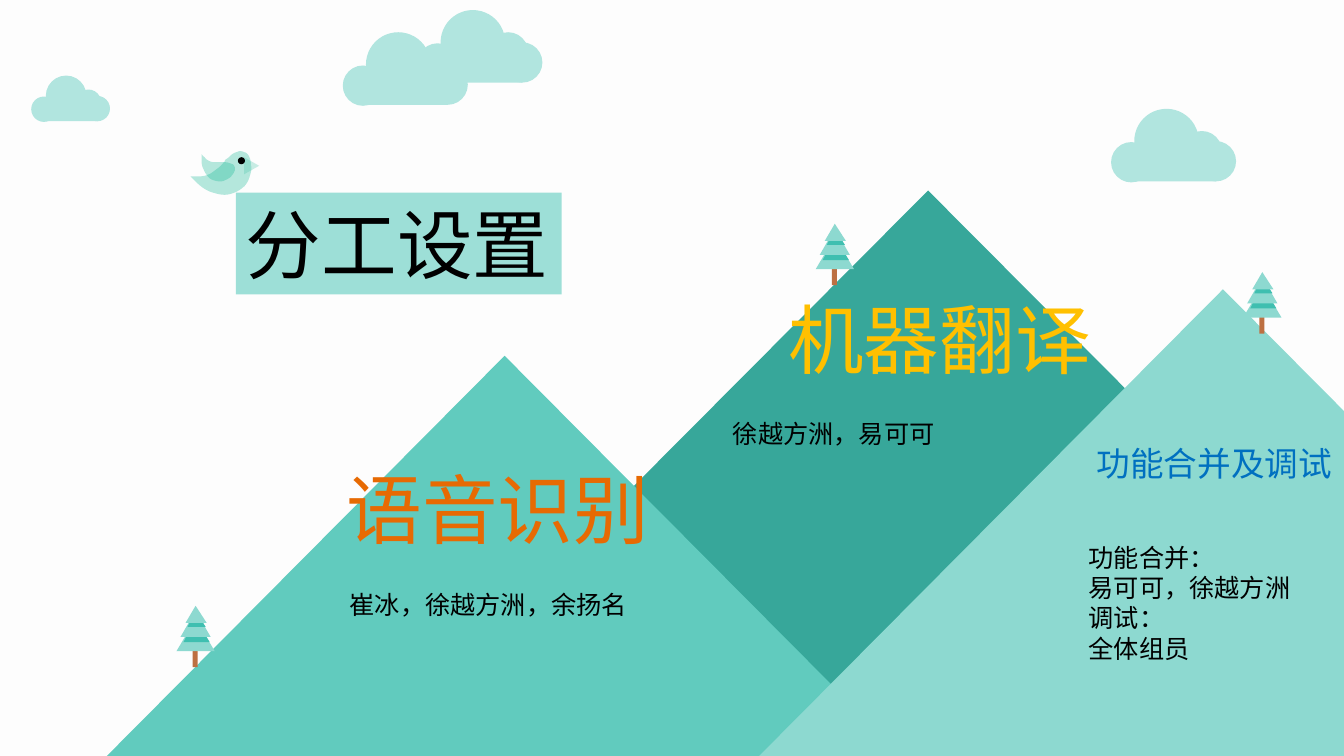
"""Build the slide that shares out the project work over three mountains."""
from lxml.etree import SubElement
from pptx import Presentation
from pptx.dml.color import RGBColor
from pptx.enum.lang import MSO_LANGUAGE_ID
from pptx.enum.shapes import MSO_SHAPE
from pptx.enum.text import MSO_AUTO_SIZE, PP_ALIGN
from pptx.oxml.ns import qn
from pptx.util import Inches, Pt

PAPER = RGBColor(0xFD, 0xFD, 0xFD)
DEEP = RGBColor(0x37, 0xA7, 0x9A)
TEAL = RGBColor(0x61, 0xCB, 0xBE)
PALE = RGBColor(0x8D, 0xD9, 0xD0)
CLOUD = RGBColor(0xB1, 0xE5, 0xDF)
PANEL = RGBColor(0x9D, 0xDF, 0xD7)
SHADE = RGBColor(0x3F, 0xBF, 0xB0)
TRUNK = RGBColor(0xBD, 0x70, 0x42)
BIRD = RGBColor(0x0C, 0xB6, 0x92)
BEAK = RGBColor(0x4F, 0xC7, 0xAD)
BLACK = RGBColor(0, 0, 0)
GOLD = RGBColor(0xFF, 0xC0, 0x00)
BLUE = RGBColor(0x00, 0x70, 0xC0)
ORANGE = RGBColor(0xE7, 0x6A, 0x03)

OVAL, RECT, PEAK = MSO_SHAPE.OVAL, MSO_SHAPE.RECTANGLE, MSO_SHAPE.ISOSCELES_TRIANGLE
LATIN, HAN = "Calibri", "Noto Sans CJK SC"

HILLS = [
    ((3.87, 1.89, 10.67, 5.36), DEEP),
    ((1.06, 3.53, 7.89, 3.97), TEAL),
    ((7.53, 2.87, 9.2, 4.63), PALE),
]
CLOUDS = [(11.02, 1.08, 1), (3.4, 0.32, 1), (0.31, 0.75, 0.63), (4.14, 0.1, 1)]
PUFFS = [
    (OVAL, 0, 0.33, 0.4, 0.4),
    (OVAL, 0.7, 0.22, 0.4, 0.4),
    (OVAL, 0.23, 0, 0.64, 0.64),
    (OVAL, 0.84, 0.32, 0.4, 0.4),
    (RECT, 0.23, 0.34, 0.81, 0.38),
]
TITLE = ("分工设置", (2.34, 1.91, 3.23, 1.01))
TEXTS = [
    (["徐越方洲，易可可"], (7.17, 4.1, 3.12, 0.4), 18, BLACK, True),
    (["崔冰，徐越方洲，余扬名"], (3.37, 5.8, 3.12, 0.4), 18, BLACK, True),
    (["功能合并：", "易可可，徐越方洲", "调试：", "全体组员"],
     (10.7, 5.33, 3.12, 1.31), 18, BLACK, True),
    (["机器翻译"], (7.72, 2.86, 3.23, 1.01), 54, GOLD, False),
    (["功能合并及调试"], (10.78, 4.34, 2.56, 0.5), 24, BLUE, False),
    (["语音识别"], (3.34, 4.54, 3.36, 1.01), 54, ORANGE, True),
]
BODY = [
    (1.89, 1.75), (1.9, 1.76), (1.92, 1.78), (1.95, 1.81),
    (1.98, 1.84), (2.03, 1.88), (2.08, 1.9), (2.14, 1.92), (2.2, 1.94), (2.26, 1.93),
    (2.32, 1.92), (2.38, 1.89), (2.42, 1.85), (2.42, 1.85), (2.43, 1.85), (2.43, 1.84),
    (2.45, 1.82), (2.47, 1.78), (2.48, 1.74), (2.49, 1.71), (2.5, 1.67), (2.49, 1.64),
    (2.49, 1.6), (2.48, 1.57), (2.47, 1.55), (2.46, 1.53), (2.44, 1.51), (2.42, 1.51),
    (2.41, 1.5), (2.39, 1.5), (2.37, 1.5), (2.35, 1.51), (2.34, 1.51), (2.32, 1.52),
    (2.3, 1.53), (2.29, 1.54), (2.27, 1.56), (2.26, 1.57), (2.24, 1.58), (2.23, 1.59),
    (2.23, 1.6), (2.23, 1.6), (2.23, 1.6), (2.21, 1.62), (2.19, 1.65), (2.16, 1.67),
    (2.13, 1.69), (2.1, 1.72), (2.07, 1.73), (2.03, 1.75), (1.99, 1.75), (1.96, 1.75),
    (1.93, 1.75), (1.9, 1.75), (1.89, 1.75),
]
WING = [
    (2, 1.53), (2, 1.54), (2, 1.56), (2, 1.59), (2, 1.61), (2, 1.65), (2.02, 1.68),
    (2.03, 1.71), (2.05, 1.74), (2.08, 1.77), (2.11, 1.79), (2.15, 1.8), (2.18, 1.8),
    (2.18, 1.8), (2.19, 1.8), (2.19, 1.8), (2.21, 1.8), (2.23, 1.79), (2.25, 1.78),
    (2.27, 1.77), (2.29, 1.76), (2.3, 1.74), (2.32, 1.72), (2.32, 1.71), (2.33, 1.69),
    (2.33, 1.68), (2.33, 1.67), (2.33, 1.66), (2.32, 1.64), (2.32, 1.64), (2.31, 1.63),
    (2.3, 1.63), (2.29, 1.62), (2.28, 1.62), (2.27, 1.62), (2.26, 1.61), (2.24, 1.61),
    (2.23, 1.61), (2.22, 1.61), (2.21, 1.61), (2.21, 1.61), (2.21, 1.61), (2.21, 1.61),
    (2.19, 1.61), (2.17, 1.61), (2.15, 1.61), (2.13, 1.61), (2.1, 1.61), (2.08, 1.6),
    (2.06, 1.59), (2.04, 1.58), (2.03, 1.56), (2.01, 1.55), (2.01, 1.54), (2, 1.53),
]
TREES = [(1.94, 6.01), (12.52, 2.7), (8.28, 2.22)]
LEAVES = [
    (-0.19, 0.19, 0.13, 0.45, PALE),
    (-0.12, 0.14, 0.13, 0.36, SHADE),
    (-0.15, 0.15, 0.05, 0.31, PALE),
    (-0.08, 0.1, 0.05, 0.21, SHADE),
    (-0.1, 0.11, 0, 0.17, PALE),
]


def paint(shape, color, alpha=None):
    shape.shadow.inherit = False
    shape.fill.solid()
    shape.fill.fore_color.rgb = color
    shape.line.fill.background()
    if alpha:
        tint = shape.fill._xPr.find(".//" + qn("a:srgbClr"))
        SubElement(tint, qn("a:alpha"), val=str(alpha * 1000))
    return shape


def draw(shapes, kind, box, color, alpha=None):
    return paint(shapes.add_shape(kind, *map(Inches, box)), color, alpha)


def outline(shapes, points, color, alpha=None):
    dots = [(Inches(x), Inches(y)) for x, y in points]
    form = shapes.build_freeform(*dots[0], scale=1.0)
    form.add_line_segments(dots[1:], close=True)
    return paint(form.convert_to_shape(), color, alpha)


def curve(knots, steps=6):
    points = [knots[0]]
    for i in range(0, len(knots) - 1, 3):
        for n in range(1, steps + 1):
            t = n / steps
            parts = ((1 - t) ** 3, 3 * t * (1 - t) ** 2, 3 * t * t * (1 - t), t ** 3)
            points.append(tuple(
                sum(w * k[axis] for w, k in zip(parts, knots[i:i + 4]))
                for axis in (0, 1)))
    return points


def write(shape, lines, size, color, font, wrap):
    frame = shape.text_frame
    frame.word_wrap = wrap
    frame.auto_size = MSO_AUTO_SIZE.SHAPE_TO_FIT_TEXT
    for i, line in enumerate(lines):
        para = frame.add_paragraph() if i else frame.paragraphs[0]
        para.alignment = PP_ALIGN.LEFT
        run = para.add_run()
        run.text = line
        run.font.size = Pt(size)
        run.font.color.rgb = color
        run.font.name = font
        run.font.language_id = MSO_LANGUAGE_ID.SIMPLIFIED_CHINESE
        SubElement(run.font._element, qn("a:ea"), typeface=LATIN)


def main():
    deck = Presentation()
    deck.slide_width, deck.slide_height = Inches(13.33), Inches(7.5)
    slide = deck.slides.add_slide(deck.slide_layouts[6])
    slide.background.fill.solid()
    slide.background.fill.fore_color.rgb = PAPER
    shapes = slide.shapes

    range_ = shapes.add_group_shape().shapes
    for box, color in HILLS:
        draw(range_, PEAK, box, color)

    for left, top, scale in CLOUDS:
        cloud = shapes.add_group_shape().shapes
        for kind, x, y, w, h in PUFFS:
            box = (left + x * scale, top + y * scale, w * scale, h * scale)
            draw(cloud, kind, box, CLOUD)

    title, box = TITLE
    write(draw(shapes, RECT, box, PANEL), [title], 54, BLACK, LATIN, False)
    for lines, box, size, color, wrap in TEXTS:
        write(shapes.add_textbox(*map(Inches, box)), lines, size, color, HAN, wrap)

    bird = shapes.add_group_shape().shapes
    outline(bird, curve(BODY), BIRD, 30)
    draw(bird, PEAK, (2.41, 1.57, 0.17, 0.15), BEAK, 30).rotation = 90
    outline(bird, curve(WING), BIRD, 30)
    draw(bird, OVAL, (2.36, 1.56, 0.07, 0.07), BLACK)

    for x, y in TREES:
        tree = shapes.add_group_shape().shapes
        draw(tree, RECT, (x - 0.03, y + 0.4, 0.05, 0.21), TRUNK)
        for left, right, tip, base, color in LEAVES:
            outline(tree, [(x + left, y + base), (x, y + tip), (x + right, y + base)], color)

    deck.save("out.pptx")


if __name__ == "__main__":
    main()
